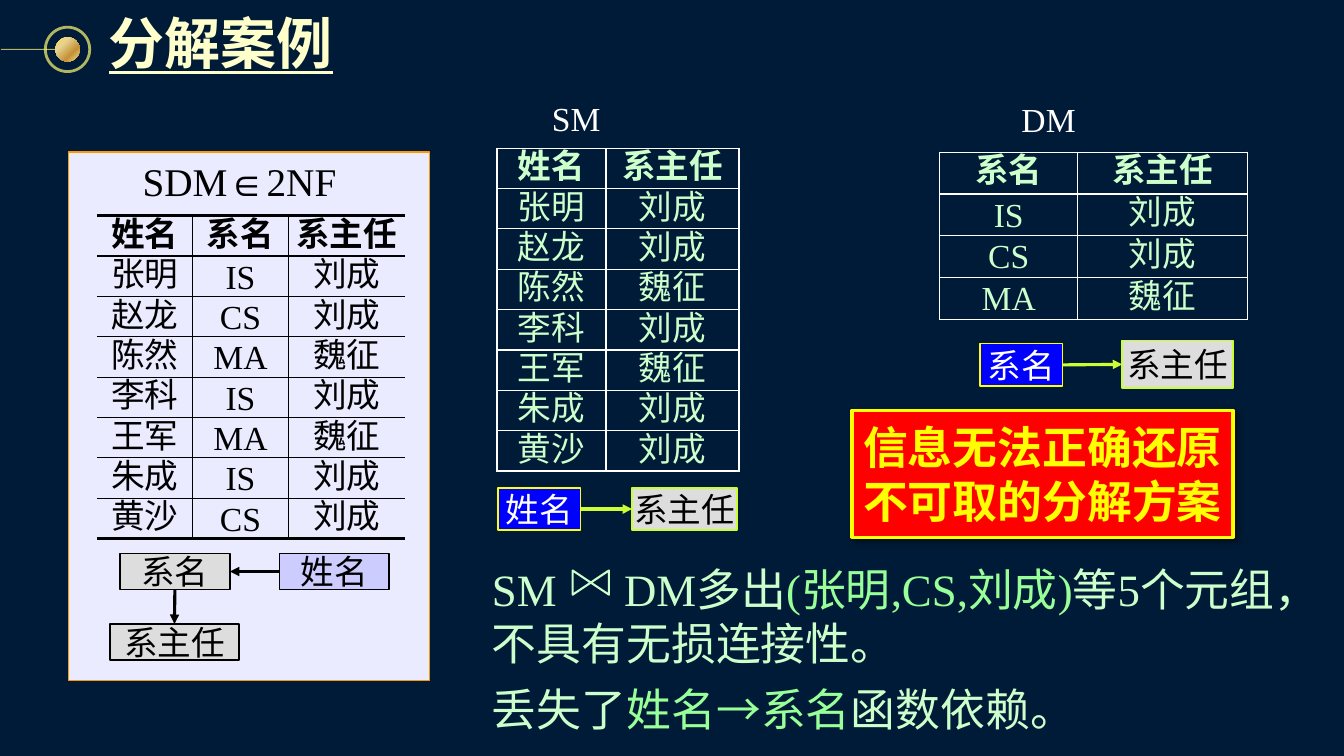
from lxml.etree import SubElement
from pptx import Presentation
from pptx.dml.color import RGBColor
from pptx.enum.shapes import MSO_CONNECTOR as Link, MSO_SHAPE as Preset
from pptx.enum.text import MSO_ANCHOR as Anchor, PP_ALIGN as Align
from pptx.oxml.ns import qn
from pptx.util import Inches, Pt

NAVY = RGBColor(0x00, 0x1B, 0x37)
BLACK = RGBColor(0, 0, 0)
WHITE = RGBColor(255, 255, 255)
CREAM = RGBColor(0xFF, 0xFF, 0xCC)
PALE_YELLOW = RGBColor(0xFC, 0xF8, 0x73)
YELLOW = RGBColor(255, 255, 0)
LIME = RGBColor(0xCC, 0xFF, 0x33)
MINT = RGBColor(0xCC, 0xFF, 0xCC)
GREEN = RGBColor(0x99, 0xFF, 0x99)
ORANGE = RGBColor(0xFF, 0x99, 0x00)
LAVENDER = RGBColor(0xEB, 0xEB, 0xFF)
LILAC = RGBColor(0xCC, 0xCC, 0xFF)
GREY = RGBColor(0xDD, 0xDD, 0xDD)
BLUE = RGBColor(0, 0, 255)
RED = RGBColor(255, 0, 0)
GOLD_STOPS = [(0, "FCD860"), (31, "E6D38F"), (68, "C69135"), (100, "F1DF97")]
SERIF, CJK = "Times New Roman", "Noto Sans CJK SC"

# Name, department and head of department
STUDENTS = [("张明", "IS", "刘成"), ("赵龙", "CS", "刘成"), ("陈然", "MA", "魏征"),
            ("李科", "IS", "刘成"), ("王军", "MA", "魏征"), ("朱成", "IS", "刘成"),
            ("黄沙", "CS", "刘成")]
HEADS = [("IS", "刘成"), ("CS", "刘成"), ("MA", "魏征")]


def add_span(para, text, size=24, color=BLACK, font=SERIF, bold=False, underline=False):
    span = para.add_run()
    span.text = text
    face = span.font
    face.size, face.name, face.bold, face.underline = Pt(size), font, bold, underline
    face.color.rgb = color
    SubElement(face._element, qn("a:ea"), typeface=CJK)


def set_frame(frame, anchor=Anchor.TOP, wrap=True, inset=0):
    frame.word_wrap, frame.vertical_anchor = wrap, anchor
    frame.margin_left = frame.margin_right = Inches(inset)
    frame.margin_top = frame.margin_bottom = Inches(inset)


def add_label(page, text, left, top, width, height, align=Align.CENTER,
              anchor=Anchor.TOP, wrap=True, inset=0, **style):
    box = page.shapes.add_textbox(Inches(left), Inches(top), Inches(width), Inches(height))
    set_frame(box.text_frame, anchor, wrap, inset)
    para = box.text_frame.paragraphs[0]
    para.alignment = align
    add_span(para, text, **style)


def add_box(page, left, top, width, height, fill=None, line=None, weight=1,
            lines=(), preset=Preset.RECTANGLE, wrap=False, pitch=None, **style):
    box = page.shapes.add_shape(preset, Inches(left), Inches(top), Inches(width), Inches(height))
    box.shadow.inherit = False
    if fill is None:
        box.fill.background()
    else:
        box.fill.solid()
        box.fill.fore_color.rgb = fill
    if line is None:
        box.line.fill.background()
    else:
        box.line.color.rgb = line
        box.line.width = Pt(weight)
    frame = box.text_frame
    set_frame(frame, Anchor.MIDDLE, wrap)
    for index, text in enumerate(lines):
        para = frame.add_paragraph() if index else frame.paragraphs[0]
        para.alignment, para.line_spacing = Align.CENTER, pitch
        add_span(para, text, **style)
    return box


def add_line(page, start, end, color, weight):
    line = page.shapes.add_connector(Link.STRAIGHT, *map(Inches, start + end))
    line.line.color.rgb = color
    line.line.width = Pt(weight)
    SubElement(line._element.spPr, qn("a:effectLst"))
    return line


def add_arrow(page, source, source_side, target, target_side, color):
    arrow = add_line(page, (0, 0), (1, 1), color, 2.25)
    arrow.begin_connect(source, source_side)
    arrow.end_connect(target, target_side)
    SubElement(arrow.line._get_or_add_ln(), qn("a:tailEnd"), type="triangle")


def set_alpha(line, percent):
    color = line._get_or_add_ln().find(".//" + qn("a:srgbClr"))
    SubElement(color, qn("a:alpha"), val=str(percent * 1000))


def set_borders(cell, color, weights):
    """weights gives left, right, top and bottom; 0 means no line."""
    props = cell._tc.get_or_add_tcPr()
    for index, (side, weight) in enumerate(zip("LRTB", weights)):
        edge = SubElement(props, qn("a:ln" + side), w=str(Pt(weight)))
        if weight:
            paint = SubElement(edge, qn("a:solidFill"))
            SubElement(paint, qn("a:srgbClr"), val=str(color))
        else:
            SubElement(edge, qn("a:noFill"))
        props.insert(index, edge)


def add_relation(page, rows, left, top, widths, row_height, color, rule, outer):
    """outer gives the weights of the side edges and of the top and bottom edges."""
    table = page.shapes.add_table(len(rows), len(widths), Inches(left), Inches(top),
                                  Inches(sum(widths)), Inches(row_height * len(rows))).table
    table.first_row = table.horz_banding = False
    for column, width in zip(table.columns, widths):
        column.width = Inches(width)
    side, cap = outer
    last_row, last_col = len(rows) - 1, len(widths) - 1
    for r, values in enumerate(rows):
        table.rows[r].height = Inches(row_height)
        for c, text in enumerate(values):
            cell = table.cell(r, c)
            cell.fill.background()
            set_borders(cell, rule, (1 if c else side, side if c == last_col else 1,
                                     1 if r else cap, cap if r == last_row else 1))
            cell.margin_left = cell.margin_right = cell.margin_top = cell.margin_bottom = 0
            para = cell.text_frame.paragraphs[0]
            para.alignment, para.line_spacing = Align.CENTER, Pt(28.8)
            add_span(para, text, color=color, bold=r == 0)


def add_title(page, left, top):
    ring = add_box(page, left + 0.45, top + 0.27, 0.44, 0.44, line=PALE_YELLOW, weight=2,
                   preset=Preset.OVAL)
    rail = add_line(page, (left + 0.01, top + 0.49), (left + 0.55, top + 0.49), PALE_YELLOW, 0.75)
    for part in (ring, rail):
        set_alpha(part.line, 70)
    # Golden bead
    bead = add_box(page, left + 0.55, top + 0.37, 0.24, 0.24, preset=Preset.OVAL)
    bead.fill.gradient()
    gradient = bead._element.spPr.find(qn("a:gradFill"))
    stops = gradient.find(qn("a:gsLst"))
    stops.clear()
    for position, color in GOLD_STOPS:
        stop = SubElement(stops, qn("a:gs"), pos=str(position * 1000))
        SubElement(stop, qn("a:srgbClr"), val=color)
    gradient.find(qn("a:lin")).set("ang", str(45 * 60000))
    add_label(page, "分解案例", left + 1, top, 9.31, 0.83, align=Align.LEFT, anchor=Anchor.MIDDLE,
              inset=0.08, size=40, color=CREAM, font="Arial", bold=True, underline=True)


def add_sdm_panel(page, left, top):
    add_box(page, left, top, 3.58, 5.24, LAVENDER, ORANGE)
    add_label(page, "SDM∈2NF", left + 0.64, top + 0.05, 2.11, 0.47, size=28)
    add_relation(page, [("姓名", "系名", "系主任")] + STUDENTS, left + 0.28, top + 0.63,
                 (0.95, 0.95, 1.16), 0.4, BLACK, BLACK, (0, 2.25))
    # Dependency chain
    name = add_box(page, left + 2.09, top + 3.98, 1.09, 0.36, LILAC, BLACK, lines=["姓名"])
    unit = add_box(page, left + 0.51, top + 3.98, 1.09, 0.36, GREY, BLACK, lines=["系名"])
    head = add_box(page, left + 0.41, top + 4.68, 1.28, 0.36, GREY, BLACK, lines=["系主任"])
    add_arrow(page, name, 1, unit, 3, BLACK)
    add_arrow(page, unit, 2, head, 0, BLACK)


def add_dependency(page, key, left, top, head_left, head_top, head_width, head_height):
    source = add_box(page, left, top, 0.82, 0.42, BLUE, YELLOW, lines=[key], color=WHITE)
    head = add_box(page, head_left, head_top, head_width, head_height, GREY, LIME, lines=["系主任"])
    add_arrow(page, source, 3, head, 1, LIME)


def add_sm(page, left, top):
    add_label(page, "SM", left + 0.54, top - 0.5, 0.49, 0.4, wrap=False, color=WHITE)
    rows = [("姓名", "系主任")] + [(name, head) for name, _, head in STUDENTS]
    add_relation(page, rows, left, top, (1.08, 1.32), 0.4, MINT, WHITE, (1, 1))
    add_dependency(page, "姓名", left + 0.01, top + 3.37, left + 1.34, top + 3.37, 1.04, 0.42)


def add_dm(page, left, top):
    add_label(page, "DM", left + 0.81, top - 0.53, 0.54, 0.4, wrap=False, color=WHITE)
    add_relation(page, [("系名", "系主任")] + HEADS, left, top, (1.37, 1.68), 0.415,
                 MINT, WHITE, (1, 1))
    add_dependency(page, "系名", left + 0.4, top + 1.9, left + 1.81, top + 1.87, 1.1, 0.47)


def add_verdict(page, left, top):
    box = add_box(page, left, top, 3.78, 1.26, RED, YELLOW, 2.25, ["信息无法正确还原", "不可取的分解方案"],
                  wrap=True, pitch=Pt(38.6), size=32, color=YELLOW, font=CJK, bold=True)
    effects = box._element.spPr.find(qn("a:effectLst"))
    shadow = SubElement(effects, qn("a:outerShdw"), blurRad=str(Pt(4)), dist=str(Pt(3)),
                        dir=str(45 * 60000), algn="tl", rotWithShape="0")
    SubElement(SubElement(shadow, qn("a:srgbClr"), val="000000"), qn("a:alpha"), val="40000")


def add_conclusion(page, left, top):
    box = page.shapes.add_textbox(Inches(left), Inches(top), Inches(7.93), Inches(1.8))
    set_frame(box.text_frame)
    lines = [[("SM\tDM多出", MINT), ("(张明,CS,刘成)", GREEN), ("等5个元组，不具有无损连接性。", MINT)],
             [("丢失了", MINT), ("姓名→系名", GREEN), ("函数依赖。", MINT)]]
    for index, spans in enumerate(lines):
        para = box.text_frame.add_paragraph() if index else box.text_frame.paragraphs[0]
        para.line_spacing, para.space_after = Pt(39), Pt(8)
        tabs = SubElement(para._p.get_or_add_pPr(), qn("a:tabLst"))
        SubElement(tabs, qn("a:tab"), pos=str(Inches(1.31)), algn="l")
        for text, color in spans:
            add_span(para, text, size=32, color=color)
    # Join sign
    x, y = left + 0.8, top + 0.1
    points = [(x + 0.36, y + 0.24), (x + 0.36, y), (x, y + 0.24)]
    outline = page.shapes.build_freeform(Inches(x), Inches(y), scale=1.0)
    outline.add_line_segments([(Inches(px), Inches(py)) for px, py in points], close=True)
    bowtie = outline.convert_to_shape()
    bowtie.shadow.inherit = False
    bowtie.fill.background()
    bowtie.line.color.rgb = MINT
    bowtie.line.width = Pt(1.5)


def main():
    deck = Presentation()
    deck.slide_width, deck.slide_height = Inches(13.33), Inches(7.5)
    page = deck.slides.add_slide(deck.slide_layouts[6])
    page.background.fill.solid()
    page.background.fill.fore_color.rgb = NAVY
    add_title(page, 0, 0)
    add_sdm_panel(page, 0.68, 1.51)
    add_conclusion(page, 4.88, 5.56)
    add_sm(page, 4.93, 1.47)
    add_dm(page, 9.32, 1.51)
    add_verdict(page, 8.45, 4.07)
    deck.save("out.pptx")


if __name__ == "__main__":
    main()
